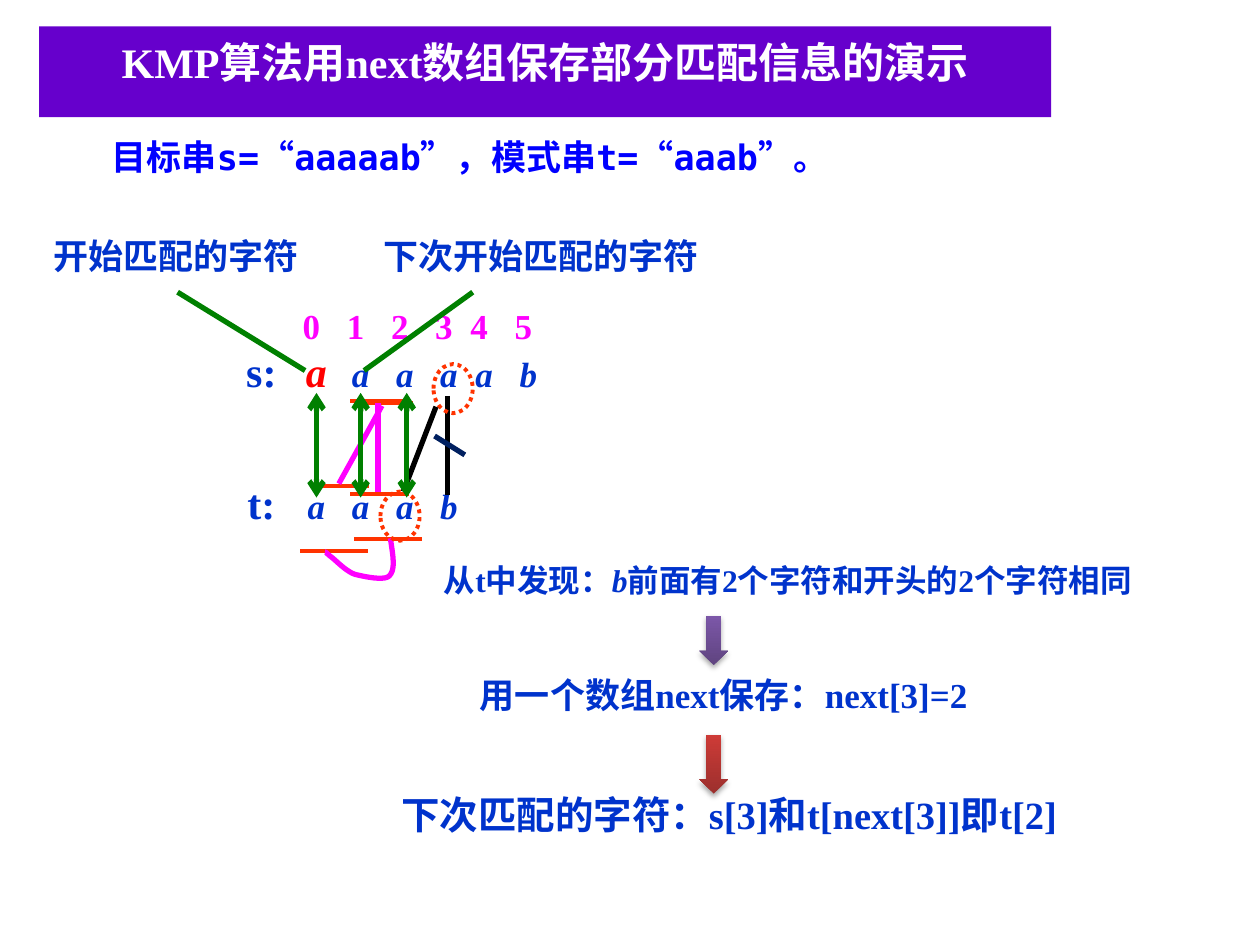
from dataclasses import dataclass
from itertools import accumulate

from lxml.etree import SubElement
from pptx import Presentation
from pptx.dml.color import RGBColor
from pptx.enum.dml import MSO_LINE
from pptx.enum.shapes import MSO_CONNECTOR, MSO_SHAPE
from pptx.enum.text import MSO_ANCHOR, MSO_AUTO_SIZE, PP_ALIGN
from pptx.oxml.ns import qn
from pptx.util import Cm, Pt


@dataclass(frozen=True)
class Theme:
    serif: str = "Times New Roman"
    cjk: str = "Noto Sans CJK SC"
    mono: str = "DejaVu Sans Mono"
    banner: str = "6600CC"
    white: str = "FFFFFF"
    text: str = "0033CC"
    statement: str = "0000FF"
    start: str = "FF0000"
    link: str = "FF00FF"
    segment: str = "FF3300"
    match: str = "008000"
    compare: str = "000000"
    mismatch: str = "002060"
    purple: tuple = ("5F4480", "7C57A8")
    red: tuple = ("9C2F2D", "CE3B37")
    large: int = 24
    result: int = 22
    normal: int = 20
    small: int = 18
    thin: float = 2.25
    thick: float = 3


THEME = Theme()


@dataclass(frozen=True)
class Box:
    """An area in centimetres."""
    left: float
    top: float
    width: float
    height: float

    def at(self, x, y):
        return Cm(self.left + x), Cm(self.top + y)

    def inner(self, x, y, width, height):
        return Box(self.left + x, self.top + y, width, height)

    def emu(self):
        return [Cm(v) for v in (self.left, self.top, self.width, self.height)]


def rgb(value):
    return RGBColor.from_string(value)


def style(paragraph, size, color, face=THEME.serif, align=PP_ALIGN.CENTER):
    paragraph.alignment = align
    paragraph.line_spacing = 0.8
    paragraph.space_before = Pt(0)
    font = paragraph.font
    font.name, font.size, font.bold = face, Pt(size), True
    font.color.rgb = rgb(color)
    SubElement(font._element, qn("a:ea"), typeface=THEME.cjk)


def add_text(slide, box, text, size=THEME.normal, color=THEME.text, face=THEME.serif):
    frame = slide.shapes.add_textbox(*box.emu()).text_frame
    frame.word_wrap = False
    paragraph = frame.paragraphs[0]
    paragraph.text = text
    style(paragraph, size, color, face)
    return paragraph


def add_line(slide, box, start, end, color, width=THEME.thick, arrows=False):
    line = slide.shapes.add_connector(
        MSO_CONNECTOR.STRAIGHT, *box.at(*start), *box.at(*end))
    line.line.color.rgb = rgb(color)
    line.line.width = Pt(width)
    SubElement(line._element.spPr, qn("a:effectLst"))
    if arrows:
        for end_tag in ("a:headEnd", "a:tailEnd"):
            SubElement(line.line._get_or_add_ln(), qn(end_tag), type="arrow")


def add_title(slide, box):
    title = slide.shapes.title
    title.left, title.top, title.width, title.height = box.emu()
    title.fill.solid()
    title.fill.fore_color.rgb = rgb(THEME.banner)
    frame = title.text_frame
    frame.auto_size = MSO_AUTO_SIZE.NONE
    frame.vertical_anchor = MSO_ANCHOR.TOP
    frame.margin_left = frame.margin_right = Cm(0.46)
    frame.margin_top = frame.margin_bottom = Cm(0.41)
    frame.text = "KMP算法用next数组保存部分匹配信息的演示"
    style(frame.paragraphs[0], THEME.large, THEME.white)


def add_row(slide, box, characters, color, italic=True, first_run=None):
    """One row of characters, centred on shared column tab stops."""
    frame = slide.shapes.add_textbox(*box.emu()).text_frame
    frame.margin_left = frame.margin_right = 0
    frame.word_wrap = True
    row = frame.paragraphs[0]
    tabs = SubElement(row._p.get_or_add_pPr(), qn("a:tabLst"))
    columns = accumulate((1.07, 0.89, 0.89, 0.89, 0.71, 0.89))
    for _, column in zip(characters, columns):
        SubElement(tabs, qn("a:tab"), pos=str(Cm(column)), algn="ctr")
    style(row, THEME.normal, color, align=PP_ALIGN.LEFT)
    row.font.italic = italic
    cells = ["\t" + character for character in characters]
    for text in (cells[0], "".join(cells[1:])):
        row.add_run().text = text
    if first_run:
        size, first_color = first_run
        row.runs[0].font.size = Pt(size)
        row.runs[0].font.color.rgb = rgb(first_color)


def bezier(p0, p1, p2, p3, steps=10):
    for step in range(1, steps + 1):
        t = step / steps
        u = 1 - t
        yield tuple(u**3 * a + 3 * u * u * t * b + 3 * u * t * t * c + t**3 * d
                    for a, b, c, d in zip(p0, p1, p2, p3))


def add_prefix_loop(slide, box):
    """Curve that joins the two equal parts of the pattern."""
    knots = [(1.98, 4.96), (2.01, 4.96), (2.01, 4.98), (2.11, 5.06),
             (2.21, 5.13), (2.39, 5.34), (2.59, 5.41),
             (2.8, 5.46), (3.18, 5.54), (3.28, 5.44),
             (3.41, 5.31), (3.35, 5.01), (3.3, 4.68)]
    points = [box.at(*point) for i in range(0, len(knots) - 1, 3)
              for point in bezier(*knots[i:i + 4])]
    builder = slide.shapes.build_freeform(*box.at(*knots[0]))
    builder.add_line_segments(points, close=False)
    loop = builder.convert_to_shape()
    loop.shadow.inherit = False
    loop.fill.background()
    loop.line.color.rgb = rgb(THEME.link)
    loop.line.width = Pt(THEME.thick)


def add_matching(slide, box):
    # Target and pattern rows
    add_row(slide, box.inner(0.64, 0, 6.4, 1.09), "012345", THEME.link, italic=False)
    add_row(slide, box.inner(0.74, 0.87, 6.4, 1.3), "aaaaab", THEME.text,
            first_run=(THEME.large, THEME.start))
    add_row(slide, box.inner(0.74, 3.63, 4.62, 0.86), "aaab", THEME.text)
    for label, y in (("s:", 0.87), ("t:", 3.53)):
        add_text(slide, box.inner(0, y, 1.4, 1.3), label, THEME.large)

    # Equal segments and their links
    for x, y, length in ((2.49, 3.79, 1.19), (2.49, 1.91, 1.19), (1.68, 3.63, 1.19),
                         (2.57, 1.96, 1.19), (2.57, 4.7, 1.37), (1.48, 4.93, 1.37)):
        add_line(slide, box, (x, y), (x + length, y), THEME.segment, THEME.thin)
    add_line(slide, box, (3.05, 1.96), (3.05, 3.74), THEME.link)
    add_line(slide, box, (3.13, 2.01), (2.26, 3.58), THEME.link)
    add_prefix_loop(slide, box)

    # Failed comparison and the next one
    add_line(slide, box, (4.45, 1.81), (4.45, 3.81), THEME.compare)
    add_line(slide, box, (4.19, 2.62), (4.8, 3), THEME.mismatch)
    for x, y in ((4.17, 1.17), (3.1, 3.74)):
        ring = slide.shapes.add_shape(MSO_SHAPE.OVAL, *box.inner(x, y, 0.79, 0.99).emu())
        ring.shadow.inherit = False
        ring.fill.background()
        ring.line.color.rgb = rgb(THEME.segment)
        ring.line.width = Pt(THEME.thin)
        ring.line.dash_style = MSO_LINE.ROUND_DOT
    add_line(slide, box, (4.22, 2.03), (3.56, 3.74), THEME.compare)

    # Successful comparisons
    for x in (1.81, 2.7, 3.63):
        add_line(slide, box, (x, 1.75), (x, 3.86), THEME.match, arrows=True)


def add_callout(slide, box, text, start_x, end_x):
    add_text(slide, box, text, face=THEME.cjk)
    add_line(slide, box, (start_x, box.height), (end_x, 2.7), THEME.match)


def add_down_arrow(slide, box, colors):
    arrow = slide.shapes.add_shape(MSO_SHAPE.DOWN_ARROW, *box.emu())
    arrow.line.fill.background()
    arrow.fill.gradient()
    arrow.fill.gradient_angle = 90
    for stop, color, position in zip(arrow.fill.gradient_stops, colors, (0, 1)):
        stop.color.rgb = rgb(color)
        stop.position = position
    arrow.shadow.inherit = False
    effects = arrow._element.spPr.find(qn("a:effectLst"))
    shadow = SubElement(effects, qn("a:outerShdw"), blurRad=str(Pt(3.1)),
                        dist=str(Pt(1.8)), dir="5400000", rotWithShape="0")
    black = SubElement(shadow, qn("a:srgbClr"), val="000000")
    SubElement(black, qn("a:alpha"), val="35000")


def add_conclusions(slide, box):
    finding = add_text(slide, box.inner(0.99, 0, 16.26, 1.02), "从t中发现：", THEME.small)
    pattern_end = finding.add_run()
    pattern_end.text = "b"
    pattern_end.font.italic = True
    finding.add_run().text = "前面有2个字符和开头的2个字符相同"
    add_down_arrow(slide, box.inner(7.34, 1.09, 0.58, 0.99), THEME.purple)
    add_text(slide, box.inner(2.18, 2.28, 11.3, 1.12), "用一个数组next保存：next[3]=2")
    add_down_arrow(slide, box.inner(7.34, 3.48, 0.58, 1.19), THEME.red)
    add_text(slide, box.inner(0, 4.67, 15.88, 1.19),
             "下次匹配的字符：s[3]和t[next[3]]即t[2]", THEME.result)


def main():
    deck = Presentation()
    deck.slide_width, deck.slide_height = Cm(25.4), Cm(19.05)
    slide = deck.slides.add_slide(deck.slide_layouts[5])
    add_title(slide, Box(0.79, 0.53, 20.4, 1.83))
    add_text(slide, Box(0.89, 2.77, 17.17, 1.07), "目标串s=“aaaaab”，模式串t=“aaab”。",
             color=THEME.statement, face=THEME.mono)
    add_matching(slide, Box(4.57, 6.17, 7.14, 5.54))
    add_callout(slide, Box(0.58, 4.77, 5.94, 1.12), "开始匹配的字符", 3, 5.57)
    add_callout(slide, Box(7.34, 4.77, 7.14, 1.12), "下次开始匹配的字符", 2.19, 0)
    add_conclusions(slide, Box(6.76, 11.33, 17.25, 5.86))
    deck.save("out.pptx")


if __name__ == "__main__":
    main()
